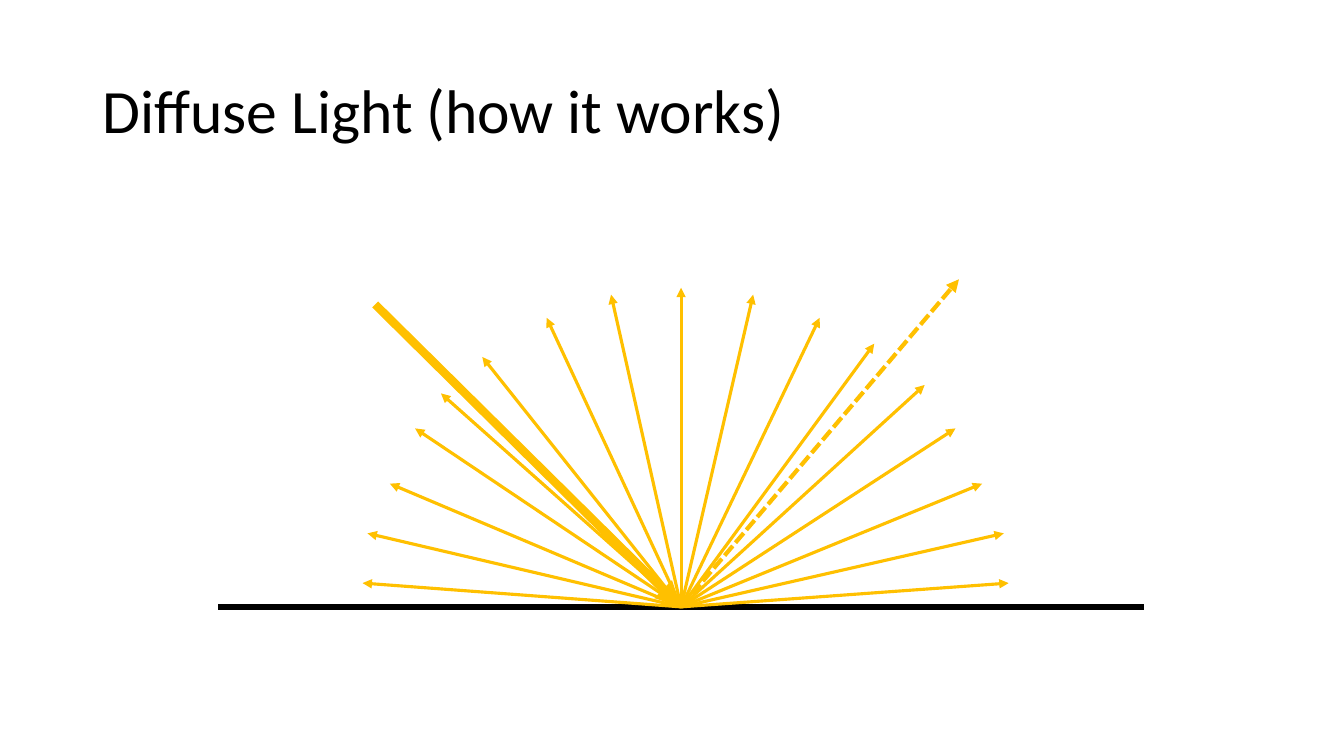
from pptx import Presentation
from pptx.dml.color import RGBColor
from pptx.enum.dml import MSO_LINE
from pptx.enum.shapes import MSO_CONNECTOR
from pptx.enum.text import MSO_ANCHOR, PP_ALIGN
from pptx.oxml.ns import qn
from pptx.util import Pt
from lxml.etree import SubElement

COLORS = {"text": "000000", "surface": "000000", "light": "FFC000"}
FONT = "Calibri"
SCATTERED_TIPS = [
    (-171.5, -152.5), (-208, -88), (-190, -127.5), (-142, -178.5),
    (-96, -206.5), (-50, -223), (0, -228), (-227.5, -17), (-224, -52.5),
    (174, -158.5), (215, -88), (196, -127.5), (138, -188),
    (99, -206.5), (51.5, -223), (234, -17), (230.5, -52.5),
]


def add_line(shapes, start, end, color, width, arrow=True, dash=None):
    points = [Pt(v) for v in (*start, *end)]
    line = shapes.add_connector(MSO_CONNECTOR.STRAIGHT, *points)
    line.line.color.rgb = RGBColor.from_string(COLORS[color])
    line.line.width = Pt(width)
    if dash is not None:
        line.line.dash_style = dash
    if arrow:
        SubElement(line.line._get_or_add_ln(), qn("a:tailEnd"), type="triangle")
    SubElement(line._element.spPr, qn("a:effectLst"))


def add_title(s, text, left, top, width, height):
    sp = s.shapes.title
    sp.left, sp.top, sp.width, sp.height = map(Pt, (left, top, width, height))
    tf = sp.text_frame
    tf.text = text
    tf.word_wrap = True
    tf.vertical_anchor = MSO_ANCHOR.MIDDLE
    p = tf.paragraphs[0]
    p.alignment = PP_ALIGN.LEFT
    p.line_spacing = 0.9
    p.font.name = FONT
    p.font.size = Pt(44)
    p.font.color.rgb = RGBColor.from_string(COLORS["text"])


def add_reflection(s, left, top, width, height):
    bottom = top + height
    hit_x = left + width / 2

    def from_hit(dx, dy):
        return hit_x + dx, bottom + dy

    hit = from_hit(0, 0)
    add_line(s.shapes, (left, bottom), (left + width, bottom), "surface", 4.5, arrow=False)
    add_line(s.shapes, from_hit(-218.5, -216), hit, "light", 6)
    add_line(s.shapes, hit, from_hit(198.5, -height), "light", 3, dash=MSO_LINE.SQUARE_DOT)
    scattered = s.shapes.add_group_shape()
    for tip in SCATTERED_TIPS:
        add_line(scattered.shapes, hit, from_hit(*tip), "light", 2.25)


prs = Presentation()
prs.slide_width, prs.slide_height = Pt(960), Pt(540)
s = prs.slides.add_slide(prs.slide_layouts[5])
add_title(s, "Diffuse Light (how it works)", 66, 28.75, 828, 104.4)
add_reflection(s, 156, 199.5, 661, 234)
prs.save("out.pptx")
